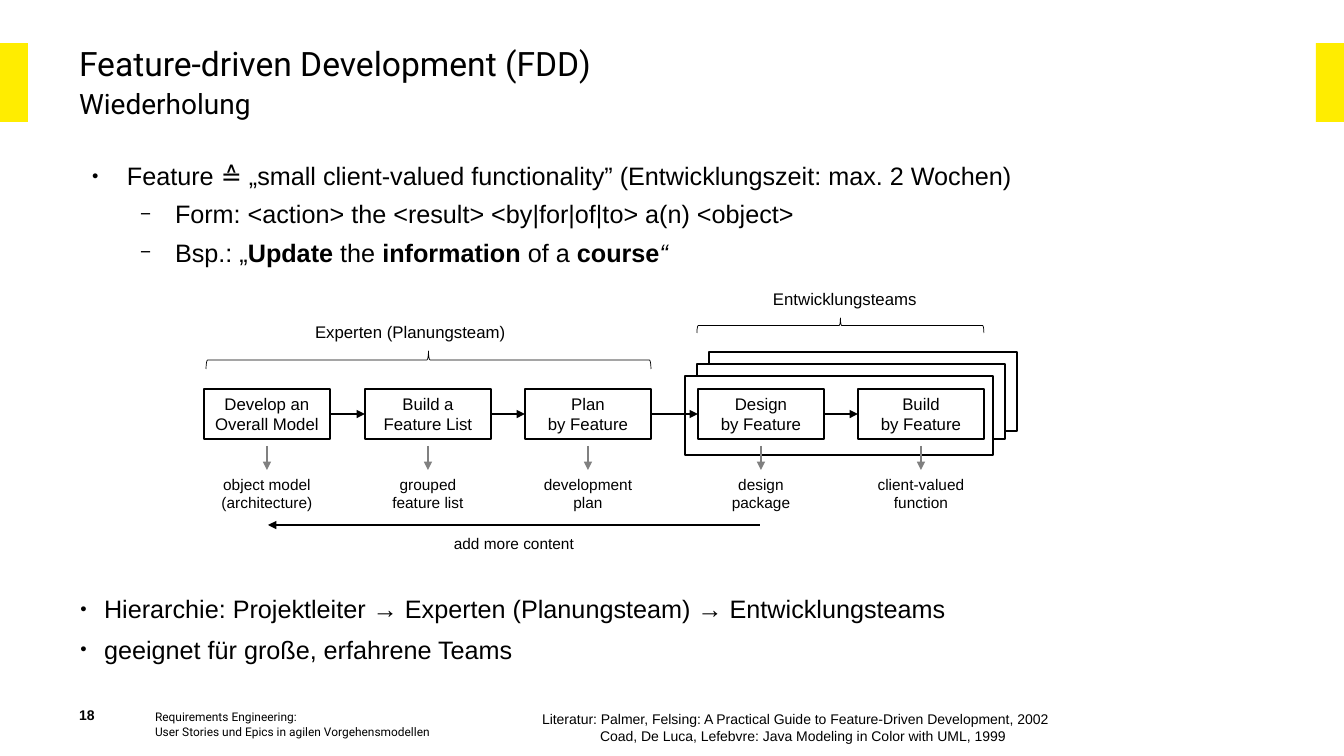
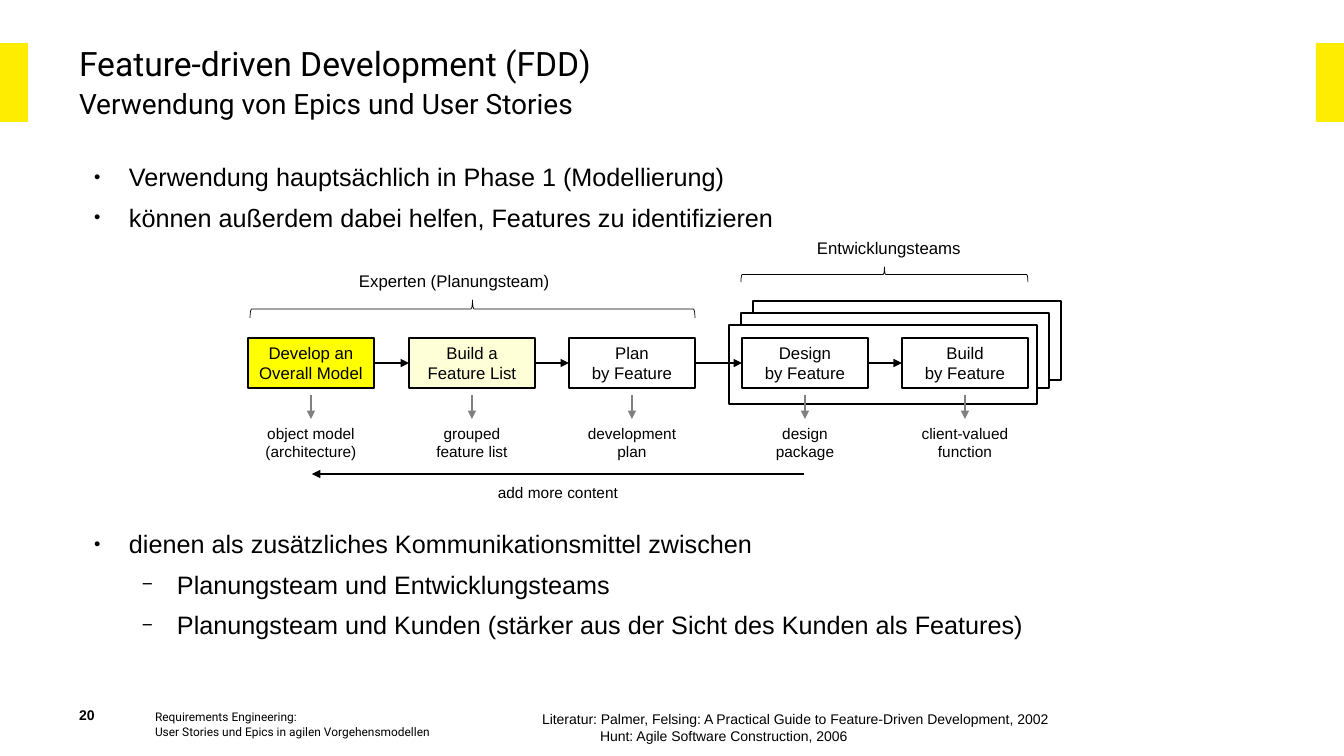
from lxml import etree
from pptx import Presentation
from pptx import util as u
from pptx.dml.color import RGBColor
from pptx.enum import shapes, text
from pptx.oxml.ns import qn

PX = 914400 / 100.8
HUES = {"ink": "000000", "paper": "FFFFFF", "band": "FFED00",
        "grey": "808080", "strong": "FFFF00", "light": "FFFFD7"}
STEPS = [(0, "Develop an\vOverall Model", "object model\v(architecture)"),
         (161, "Build a\vFeature List", "grouped\vfeature list"),
         (321, "Plan\vby Feature", "development\vplan"),
         (494, "Design\vby Feature", "design\vpackage"),
         (654, "Build\vby Feature", "client-valued\vfunction")]
STEP_W, STEP_H = 126, 50
BULLETS = [("●", 45000), ("−", 75000)]
TOPIC = "Feature-driven Development (FDD)"
FOOTER = ["Requirements Engineering:",
          "User Stories und Epics in agilen Vorgehensmodellen"]
BOOK = "Literatur: Palmer, Felsing: A Practical Guide to Feature-Driven Development, 2002"


def px(*vals):
    return [u.Emu(round(v * PX)) for v in vals]


def hue(name):
    return RGBColor.from_string(HUES[name])


def style(par, size, face="Arial", bold=None):
    par.font.size, par.font.name, par.font.bold = u.Pt(size), face, bold
    par.font.color.rgb = hue("ink")


def indent(par, left, hang=0):
    props = par._p.get_or_add_pPr()
    for key, val in zip(("marL", "indent"), px(left, -hang)):
        props.set(key, str(val))
    return props


def frame(shape, pad=(0, 0), anchor="TOP", wrap=True):
    """Set up the text frame of a shape and return it."""
    tf = shape.text_frame
    tf.word_wrap = wrap
    tf.auto_size = text.MSO_AUTO_SIZE.NONE
    tf.vertical_anchor = text.MSO_ANCHOR[anchor]
    tf.margin_left = tf.margin_right = px(pad[0])[0]
    tf.margin_top = tf.margin_bottom = px(pad[1])[0]
    return tf


def write(shape, lines, size, face="Arial", bold=None, align="LEFT", **setup):
    tf = frame(shape, **setup)
    tf.text = "\n".join(lines)
    for par in tf.paragraphs:
        par.alignment = text.PP_ALIGN[align]
        style(par, size, face, bold)
    return tf.paragraphs


def label(slide, box, lines, size, pad=(10, 5), **setup):
    return write(slide.shapes.add_textbox(*px(*box)), lines, size, pad=pad, **setup)


def shape(slide, kind, box, fill=None, line=None, width=1):
    item = slide.shapes.add_shape(shapes.MSO_SHAPE[kind], *px(*box))
    item.shadow.inherit = False
    if fill:
        item.fill.solid()
        item.fill.fore_color.rgb = hue(fill)
    else:
        item.fill.background()
    if line:
        item.line.color.rgb = hue(line)
        item.line.width = u.Pt(width)
    else:
        item.line.fill.background()
    return item


def arrow(slide, start, end, color="ink"):
    item = slide.shapes.add_connector(shapes.MSO_CONNECTOR.STRAIGHT, *px(*start, *end))
    item.line.color.rgb = hue(color)
    item.line.width = 0
    etree.SubElement(item.line._get_or_add_ln(), qn("a:tailEnd"), type="triangle")
    etree.SubElement(item._element.spPr, qn("a:effectLst"))


def brace(slide, x, y, wide, high):
    """Draw a brace that opens downward and fills the given box."""
    box = (x + (wide - high) / 2, y + (high - wide) / 2, high, wide)
    item = shape(slide, "RIGHT_BRACE", box, line="ink", width=0.5)
    item.rotation = 270
    item.adjustments[0] = 0.083


def bullet(par, level, first):
    props = indent(par, first + 48 * level, first if first < 35 else 35)
    mark, size = BULLETS[level]
    color = etree.SubElement(props, qn("a:buClr"))
    etree.SubElement(color, qn("a:srgbClr"), val=HUES["ink"])
    etree.SubElement(props, qn("a:buSzPct"), val=str(size))
    etree.SubElement(props, qn("a:buChar"), char=mark)
    par.level = level


def listing(holder, box, items, first=47, pitch=1.07):
    """Fill a body placeholder; each item is (level, text or styled runs)."""
    holder.left, holder.top, holder.width, holder.height = px(*box)
    tf = frame(holder)
    for i, (level, runs) in enumerate(items):
        par = tf.paragraphs[0] if i == 0 else tf.add_paragraph()
        bullet(par, level, first)
        par.line_spacing, par.space_before, par.space_after = pitch, u.Pt(0), u.Pt(6)
        style(par, 18)
        for words, look in ([(runs, "")] if isinstance(runs, str) else runs):
            run = par.add_run()
            run.text = words
            if look:
                setattr(run.font, look, True)


def heading(holder, sub):
    holder.left, holder.top, holder.width, holder.height = px(79, 40, 1185, 79)
    par = write(holder, [TOPIC], 24, "Roboto")[0]
    par.line_spacing = 1.08
    par.add_line_break()
    run = par.add_run()
    run.text = sub
    run.font.size = u.Pt(20)


def base(prs, sub, page, source):
    """Add a slide with bands, title and footer; return it with its two lists."""
    slide = prs.slides.add_slide(prs.slide_layouts[3])
    title, top, low = slide.placeholders
    for x in (0, 1316):
        shape(slide, "RECTANGLE", (x, 43, 28, 79), "band")
    heading(title, sub)
    label(slide, (145, 705, 380, 44), FOOTER, 8.5, face="Roboto")
    pars = label(slide, (532, 706, 538, 43), [BOOK, source], 10)
    indent(pars[1], 58)
    label(slide, (79, 684, 54, 39), [page], 10, pad=(0, 0), bold=True, anchor="BOTTOM")
    return slide, top, low


def process(slide, x, y, fills=()):
    """Draw the five steps; (x, y) is the corner of the first, fills colour the first ones."""
    def panel(box, words, size, fill, line, anchor="TOP"):
        item = shape(slide, "RECTANGLE", box, fill, line)
        write(item, [words], size, align="CENTER", pad=(10, 5), anchor=anchor)

    panel((x + 188, y + 140, 244, 29), "add more content", 11, "paper", "paper", "MIDDLE")
    for i, high in enumerate((79, 75, 79)):
        box = (x + 505 - 12 * i, y - 37 + 12 * i, 308, high)
        shape(slide, "RECTANGLE", box, "paper", "ink")
    for i, (dx, step, result) in enumerate(STEPS):
        left, mid = x + dx, x + dx + STEP_W // 2
        fill = fills[i] if i < len(fills) else "paper"
        panel((left, y, STEP_W, STEP_H), step, 12, fill, "ink")
        panel((left, y + 81, STEP_W, 47), result, 11, "paper", "paper")
        arrow(slide, (mid, y + 57), (mid, y + 81), "grey")
        if i:
            back = x + STEPS[i - 1][0] + STEP_W
            arrow(slide, (back, y + STEP_H // 2), (left, y + STEP_H // 2))
    arrow(slide, (x + 556, y + 136), (x + 64, y + 136))
    brace(slide, x + 2, y - 38, 445, 18)
    brace(slide, x + 493, y - 71, 287, 15)
    label(slide, (x + 101, y - 72, 211, 30), ["Experten (Planungsteam)"], 12, wrap=False)
    label(slide, (x + 559, y - 105, 163, 30), ["Entwicklungsteams"], 12, wrap=False)


def review(prs):
    slide, top, low = base(prs, "Wiederholung", "18",
                           "Coad, De Luca, Lefebvre: Java Modeling in Color with UML, 1999")
    example = [("Bsp.: „", ""), ("Update", "bold"), (" the ", ""),
               ("information", "bold"), (" of a ", ""), ("course", "bold"),
               ("“", "italic")]
    listing(top, (80, 160, 1195, 120), [
        (0, "Feature ≙ „small client-valued functionality” (Entwicklungszeit: max. 2 Wochen)"),
        (1, "Form: <action> the <result> <by|for|of|to> a(n) <object>"),
        (1, example)], pitch=1.0)
    listing(low, (80, 591, 1195, 84), [
        (0, "Hierarchie: Projektleiter → Experten (Planungsteam) → Entwicklungsteams"),
        (0, "geeignet für große, erfahrene Teams")], first=24)
    process(slide, 204, 389)


def usage(prs):
    slide, top, low = base(prs, "Verwendung von Epics und User Stories", "20",
                           "Hunt: Agile Software Construction, 2006")
    listing(top, (82, 159, 1188, 84), [
        (0, "Verwendung hauptsächlich in Phase 1 (Modellierung)"),
        (0, "können außerdem dabei helfen, Features zu identifizieren")])
    listing(low, (82, 526, 1188, 125), [
        (0, "dienen als zusätzliches Kommunikationsmittel zwischen"),
        (1, "Planungsteam und Entwicklungsteams"),
        (1, "Planungsteam und Kunden (stärker aus der Sicht des Kunden als Features)")])
    process(slide, 248, 338, ("strong", "light"))


def main():
    prs = Presentation()
    prs.slide_width, prs.slide_height = px(1344, 756)
    review(prs)
    usage(prs)
    prs.save("out.pptx")


if __name__ == "__main__":
    main()
